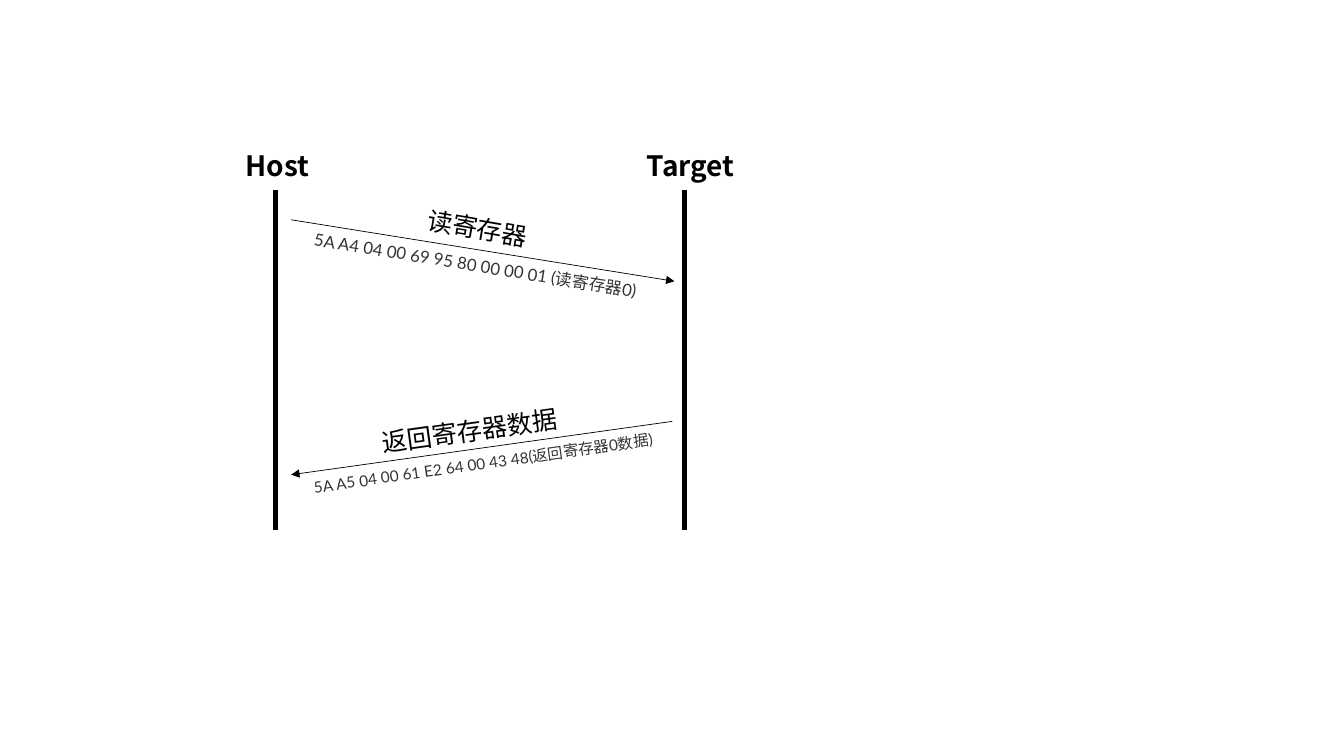
from lxml import etree
from pptx import Presentation
from pptx import util as u
from pptx.dml.color import RGBColor
from pptx.enum import shapes, text
from pptx.oxml.ns import qn


class SequenceDiagram:
    """Draws lifelines, messages and labels on one slide, in points."""

    colors = {"ink": "000000", "payload": "333333"}
    cjk_font = "Noto Sans CJK SC"
    latin_font = "Lato"

    def __init__(self, slide):
        self.slide = slide

    def line(self, start, end, width, arrow=False):
        line = self.slide.shapes.add_connector(
            shapes.MSO_CONNECTOR.STRAIGHT, *(u.Pt(v) for v in (*start, *end)))
        line.line.color.rgb = RGBColor.from_string(self.colors["ink"])
        line.line.width = u.Pt(width)
        properties = line._element.spPr
        if arrow:
            etree.SubElement(properties.find(qn("a:ln")), qn("a:tailEnd"), type="triangle")
        etree.SubElement(properties, qn("a:effectLst"))

    def label(self, words, box, size, font=cjk_font, color="ink", bold=False, angle=0):
        label = self.slide.shapes.add_textbox(*(u.Pt(v) for v in box))
        label.rotation = angle
        frame = label.text_frame
        frame.word_wrap = True
        frame.auto_size = text.MSO_AUTO_SIZE.SHAPE_TO_FIT_TEXT
        paragraph = frame.paragraphs[0]
        paragraph.text = words
        paragraph.font.size = u.Pt(size)
        paragraph.font.bold = bold
        paragraph.font.color.rgb = RGBColor.from_string(self.colors[color])
        paragraph.font.name = font
        defaults = paragraph._p.pPr.find(qn("a:defRPr"))
        etree.SubElement(defaults, qn("a:ea"), typeface=self.cjk_font)

    def lifeline(self, role, x, role_left):
        self.line((x, 135.4), (x, 378.7), 3.75)
        self.label(role, (role_left, 102.2, 116, 31.7), 20, bold=True)

    def message(self, start, end, title, title_box, title_angle,
                payload, payload_box, payload_size, payload_angle):
        self.line(start, end, 0.5, arrow=True)
        self.label(title, title_box, 18, angle=title_angle)
        self.label(payload, payload_box, payload_size, self.latin_font,
                   "payload", angle=payload_angle)


def main():
    deck = Presentation()
    deck.slide_width, deck.slide_height = u.Pt(960), u.Pt(540)
    diagram = SequenceDiagram(deck.slides.add_slide(deck.slide_layouts[6]))

    diagram.lifeline("Host", 196.6, 168.5)
    diagram.lifeline("Target", 488.9, 455)
    diagram.message(
        (208, 157), (481.7, 200.9),
        "读寄存器", (298, 149, 93, 29), 9.8,
        "5A A4 04 00 69 95 80 00 00 01 (读寄存器0)", (216, 180, 265.7, 21.6), 12, 9.1)
    diagram.message(
        (480.2, 301), (208, 339.1),
        "返回寄存器数据", (265, 290.9, 172.8, 29), 352.1,
        "5A A5 04 00 61 E2 64 00 43 48(返回寄存器0数据)", (216.7, 318.2, 293.8, 33.8), 11, 351.9)

    deck.save("out.pptx")


if __name__ == "__main__":
    main()
